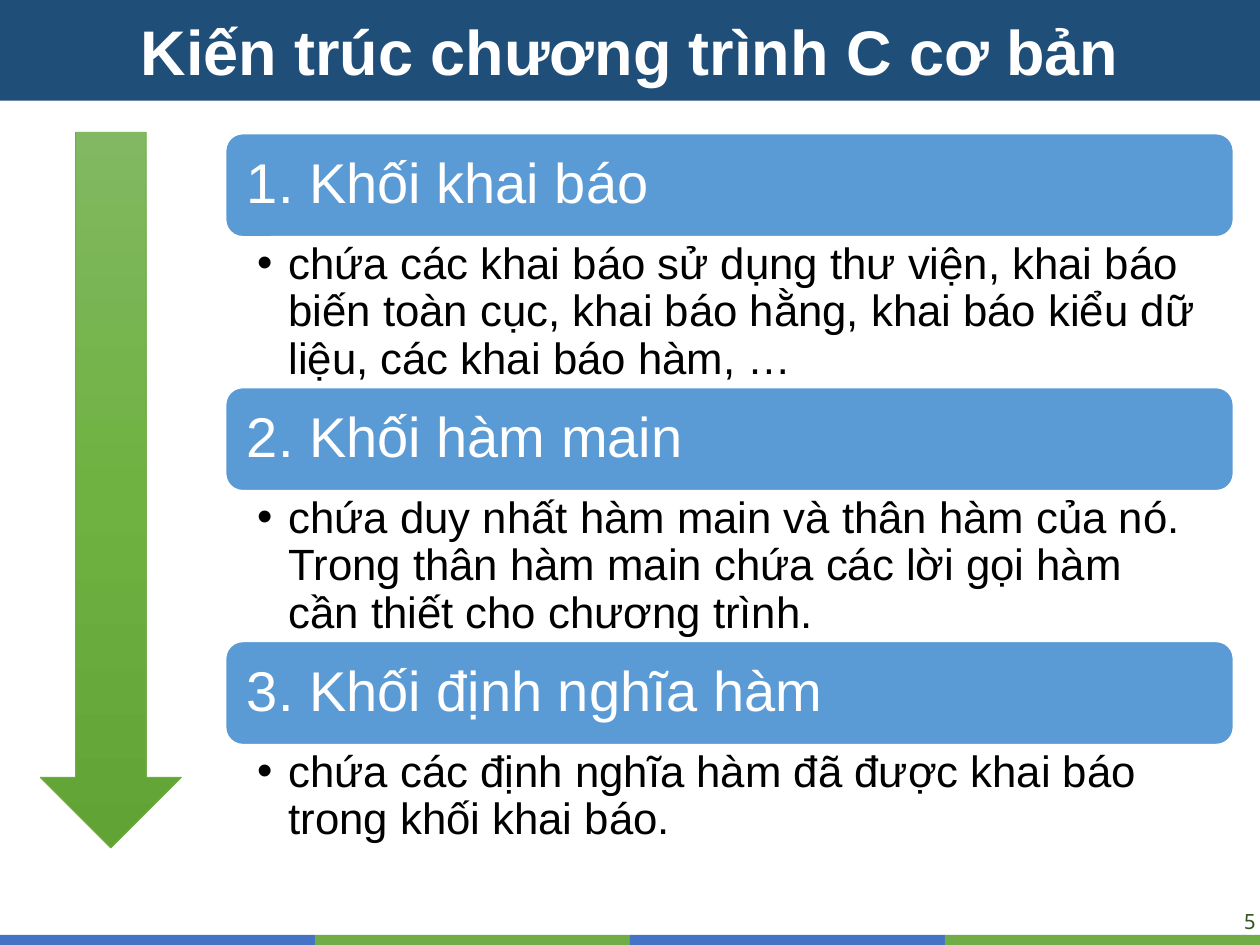
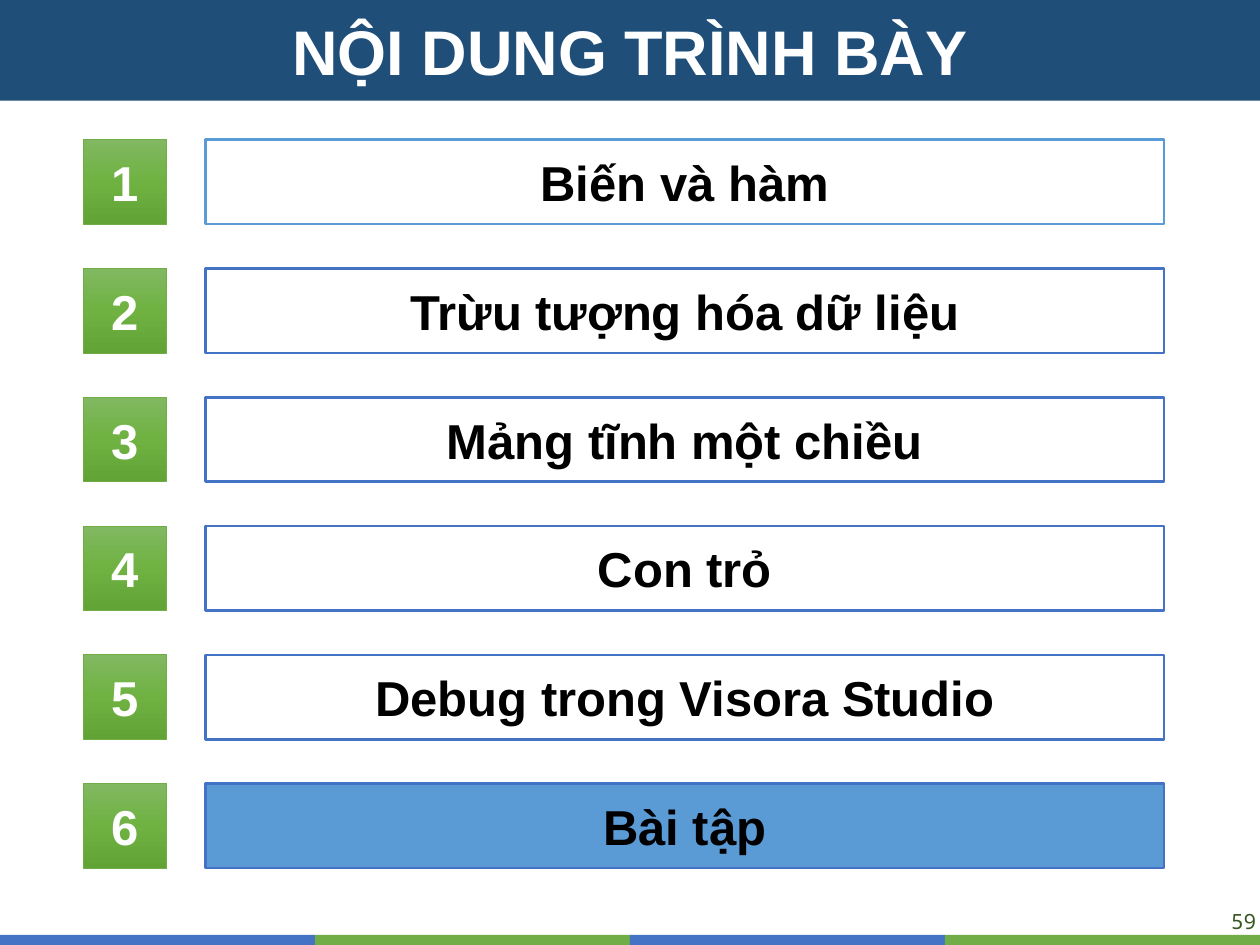
from copy import deepcopy

from lxml.etree import SubElement
from pptx import Presentation
from pptx.dml.color import RGBColor
from pptx.enum.shapes import MSO_SHAPE
from pptx.enum.text import MSO_ANCHOR, PP_ALIGN
from pptx.oxml.ns import qn
from pptx.util import Inches, Pt

COLUMNS, ROWS = 100, 75
CELL = Inches(0.1)

WHITE = RGBColor(0xFF, 0xFF, 0xFF)
BLACK = RGBColor(0x00, 0x00, 0x00)
NAVY = RGBColor(0x1F, 0x4E, 0x79)
BLUE = RGBColor(0x44, 0x72, 0xC4)
SKY = RGBColor(0x5B, 0x9B, 0xD5)
GREEN = RGBColor(0x70, 0xAD, 0x47)
DARK_GREEN = RGBColor(0x38, 0x57, 0x23)
GREEN_GRADIENT = (
    RGBColor(0x81, 0xB8, 0x61),
    RGBColor(0x6F, 0xB2, 0x42),
    RGBColor(0x62, 0xA3, 0x36),
)

FONT = "Arial"
NUMBER_FONT = "Noto Sans Mono"

TITLE_ROWS = 8
STRIPE_ROWS = 0.8

BLOCKS = (
    ("1. Khối khai báo",
     "chứa các khai báo sử dụng thư viện, khai báo biến toàn cục, khai báo hằng, "
     "khai báo kiểu dữ liệu, các khai báo hàm, …"),
    ("2. Khối hàm main",
     "chứa duy nhất hàm main và thân hàm của nó. Trong thân hàm main chứa các lời "
     "gọi hàm cần thiết cho chương trình."),
    ("3. Khối định nghĩa hàm",
     "chứa các định nghĩa hàm đã được khai báo trong khối khai báo."),
)
TOPICS = (
    "Biến và hàm",
    "Trừu tượng hóa dữ liệu",
    "Mảng tĩnh một chiều",
    "Con trỏ",
    "Debug trong Visora Studio",
    "Bài tập",
)
CURRENT_TOPIC = "Bài tập"


def place(left, top, width, height):
    """Turn grid columns and rows into slide lengths."""
    return [round(cells * CELL) for cells in (left, top, width, height)]


def add_box(slide, area, fill=None, line=None, line_width=1.0, kind=MSO_SHAPE.RECTANGLE):
    """Add a preset shape; a tuple of colours as fill makes a vertical gradient."""
    shape = slide.shapes.add_shape(kind, *place(*area))
    shape.shadow.inherit = False
    if fill is None:
        shape.fill.background()
    elif isinstance(fill, RGBColor):
        shape.fill.solid()
        shape.fill.fore_color.rgb = fill
    else:
        fill_gradient(shape, fill)
    if line is None:
        shape.line.fill.background()
    else:
        shape.line.color.rgb = line
        shape.line.width = Pt(line_width)
    return shape


def fill_gradient(shape, colors):
    shape.fill.gradient()
    shape.fill.gradient_angle = 270
    stop_list = shape._element.spPr.find(".//" + qn("a:gsLst"))
    while len(stop_list) < len(colors):
        stop_list.append(deepcopy(stop_list[0]))
    for index, (stop, color) in enumerate(zip(shape.fill.gradient_stops, colors)):
        stop.position = index / (len(colors) - 1)
        stop.color.rgb = color


def write(shape, text, size, color=BLACK, font=FONT, bold=False, align=PP_ALIGN.CENTER,
          anchor=MSO_ANCHOR.MIDDLE, margins=(1, 0.5), line_spacing=None):
    """Put one paragraph in a shape; margins are the side and the top/bottom inset."""
    frame = shape.text_frame
    frame.word_wrap = True
    frame.vertical_anchor = anchor
    frame.margin_left = frame.margin_right = round(margins[0] * CELL)
    frame.margin_top = frame.margin_bottom = round(margins[1] * CELL)
    paragraph = frame.paragraphs[0]
    paragraph.alignment = align
    paragraph.line_spacing = line_spacing
    run = paragraph.add_run()
    run.text = text
    run.font.name = font
    run.font.size = Pt(size)
    run.font.bold = bold
    run.font.color.rgb = color
    return paragraph


def add_text(slide, area, text, size, **text_format):
    box = slide.shapes.add_textbox(*place(*area))
    return write(box, text, size, **text_format)


def add_bullet(paragraph, hanging):
    properties = paragraph._p.get_or_add_pPr()
    indent = round(hanging * CELL)
    properties.set("marL", str(indent))
    properties.set("indent", str(-indent))
    SubElement(properties, qn("a:buFont")).set("typeface", FONT)
    SubElement(properties, qn("a:buChar")).set("char", "•")


def add_framed_slide(presentation, title, number):
    """Add a slide with title band, footer stripes and page number."""
    slide = presentation.slides.add_slide(presentation.slide_layouts[6])
    stripe_colors = (BLUE, GREEN, BLUE, GREEN)
    stripe_width = COLUMNS / len(stripe_colors)
    for index, color in enumerate(stripe_colors):
        add_box(slide, (index * stripe_width, ROWS - STRIPE_ROWS, stripe_width, STRIPE_ROWS),
                fill=color)
    add_text(slide, (86.9, 72.1, 13.1, 2), str(number), 12, color=DARK_GREEN,
             font=NUMBER_FONT, align=PP_ALIGN.RIGHT, anchor=MSO_ANCHOR.TOP, margins=(0.3, 0))
    band = add_box(slide, (0, 0, COLUMNS, TITLE_ROWS), fill=NAVY)
    write(band, title, 36, color=WHITE, bold=True)
    return slide


def add_program_blocks(slide):
    left, top, width = 17.9, 10.6, 80
    step, heading_height = 20.15, 8.2
    for index, (heading, detail) in enumerate(BLOCKS):
        block_top = top + index * step
        bar = add_box(slide, (left, block_top, width, heading_height), fill=SKY, line=WHITE,
                      kind=MSO_SHAPE.ROUNDED_RECTANGLE)
        write(bar, heading, 32, color=WHITE, align=PP_ALIGN.LEFT, margins=(1.3, 1.3),
              line_spacing=0.9)
        paragraph = add_text(
            slide, (left, block_top + heading_height, width, step - heading_height), detail, 25,
            align=PP_ALIGN.LEFT, anchor=MSO_ANCHOR.TOP, margins=(2.5, 0.4), line_spacing=0.9)
        add_bullet(paragraph, 2.5)
    add_box(slide, (3.2, 10.5, 11.2, 56.8), fill=GREEN_GRADIENT, line=GREEN, line_width=0.5,
            kind=MSO_SHAPE.DOWN_ARROW)


def add_agenda(slide):
    top, step, height = 11.1, 10.22, 6.7
    for index, topic in enumerate(TOPICS):
        row_top = top + index * step
        badge = add_box(slide, (6.6, row_top, 6.6, height), fill=GREEN_GRADIENT, line=GREEN,
                        line_width=0.5)
        write(badge, str(index + 1), 28, color=WHITE, bold=True)
        bar = add_box(slide, (16.3, row_top, 76.1, height),
                      fill=SKY if topic == CURRENT_TOPIC else None,
                      line=SKY if index == 0 else BLUE, line_width=1.5)
        write(bar, topic, 28, bold=True)


def main():
    presentation = Presentation()
    presentation.slide_width = COLUMNS * CELL
    presentation.slide_height = ROWS * CELL
    add_program_blocks(add_framed_slide(presentation, "Kiến trúc chương trình C cơ bản", 5))
    add_agenda(add_framed_slide(presentation, "NỘI DUNG TRÌNH BÀY", 59))
    presentation.save("out.pptx")


if __name__ == "__main__":
    main()
